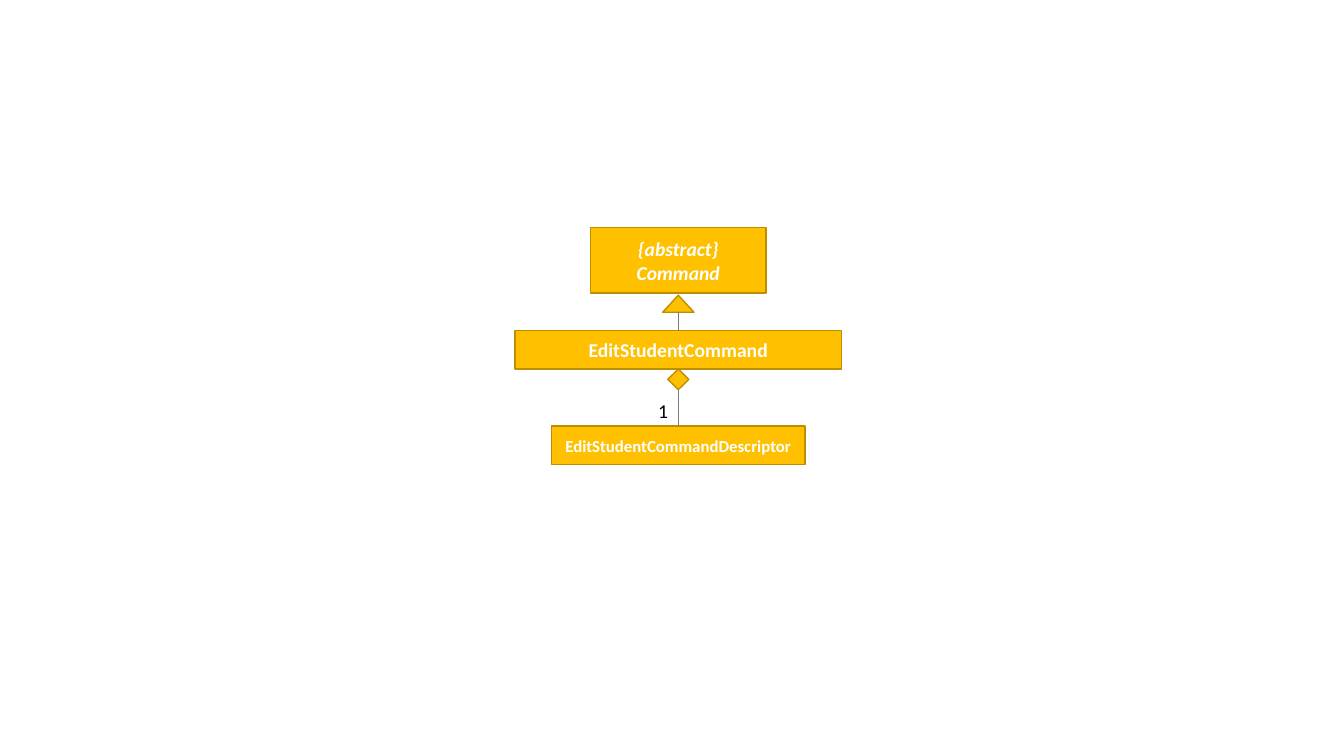
from dataclasses import dataclass

from lxml import etree
from pptx import Presentation
from pptx.dml.color import RGBColor
from pptx.enum import shapes, text
from pptx.oxml import ns
from pptx.util import Cm, Pt


@dataclass(frozen=True)
class Theme:
    font: str = "Calibri"
    fill: RGBColor = RGBColor(0xFF, 0xC0, 0x00)
    border: RGBColor = RGBColor(0xBD, 0x8E, 0x00)
    link: RGBColor = RGBColor(0x7A, 0x7A, 0x7A)
    class_text: RGBColor = RGBColor(0xFF, 0xFF, 0xFF)
    label_text: RGBColor = RGBColor(0x00, 0x00, 0x00)
    body: Pt = Pt(14)
    small: Pt = Pt(12)
    line: Pt = Pt(1)


THEME = Theme()
SHAPE = shapes.MSO_SHAPE


def add_centred_shape(page, kind, axis, top, width, height):
    """Add a filled shape whose middle lies on the vertical axis."""
    shape = page.shapes.add_shape(kind, axis - width // 2, top, width, height)
    shape.shadow.inherit = False
    shape.fill.solid()
    shape.fill.fore_color.rgb = THEME.fill
    shape.line.color.rgb = THEME.border
    shape.line.width = THEME.line
    return shape


def add_class_box(page, axis, top, width, height, lines, size, italic=False):
    box = add_centred_shape(page, SHAPE.RECTANGLE, axis, top, width, height)
    frame = box.text_frame
    frame.word_wrap = True
    frame.vertical_anchor = text.MSO_ANCHOR.MIDDLE
    frame.text = "\n".join(lines)
    for para in frame.paragraphs:
        para.alignment = text.PP_ALIGN.CENTER
        para.font.name = THEME.font
        para.font.size = size
        para.font.bold = True
        para.font.italic = italic
        para.font.color.rgb = THEME.class_text
    return box


def add_link(page, axis, start, end):
    link = page.shapes.add_connector(shapes.MSO_CONNECTOR.STRAIGHT, axis, start, axis, end)
    link.line.color.rgb = THEME.link
    link.line.width = THEME.line
    etree.SubElement(link._element.spPr, ns.qn("a:effectLst"))
    return link


def add_multiplicity(page, left, top, width, height, value):
    label = page.shapes.add_textbox(left, top, width, height)
    label.text_frame.word_wrap = False
    label.text_frame.auto_size = text.MSO_AUTO_SIZE.SHAPE_TO_FIT_TEXT
    para = label.text_frame.paragraphs[0]
    para.text = value
    para.font.name = THEME.font
    para.font.size = THEME.body
    para.font.color.rgb = THEME.label_text


def add_class_diagram(page, left, top, width):
    """Stack the three classes on the middle axis of the given area."""
    axis = left + width // 2
    row_height = Cm(0.97)
    add_class_box(page, axis, top, Cm(4.42), Cm(1.65),
                  ["{abstract}", "Command"], THEME.body, italic=True)
    command = add_class_box(page, axis, top + Cm(2.59), width, row_height,
                            ["EditStudentCommand"], THEME.body)
    descriptor = add_class_box(page, axis, top + Cm(5), Cm(6.38), row_height,
                               ["EditStudentCommandDescriptor"], THEME.small)

    triangle = add_centred_shape(page, SHAPE.ISOSCELES_TRIANGLE, axis,
                                 top + Cm(1.7), Cm(0.79), Cm(0.43))
    inheritance = add_link(page, axis, command.top, triangle.top + triangle.height)
    inheritance.begin_connect(command, 0)

    diamond = add_centred_shape(page, SHAPE.DIAMOND, axis,
                                command.top + command.height, Cm(0.53), Cm(0.52))
    composition = add_link(page, axis, diamond.top + diamond.height, descriptor.top)
    composition.begin_connect(diamond, 2)
    composition.end_connect(descriptor, 0)
    add_multiplicity(page, axis - Cm(0.76), top + Cm(4.19), Cm(0.76), Cm(0.86), "1")


def main():
    deck = Presentation()
    deck.slide_width = Cm(33.87)
    deck.slide_height = Cm(19.05)
    page = deck.slides.add_slide(deck.slide_layouts[6])
    add_class_diagram(page, Cm(12.98), Cm(5.74), Cm(8.23))
    deck.save("out.pptx")


if __name__ == "__main__":
    main()
